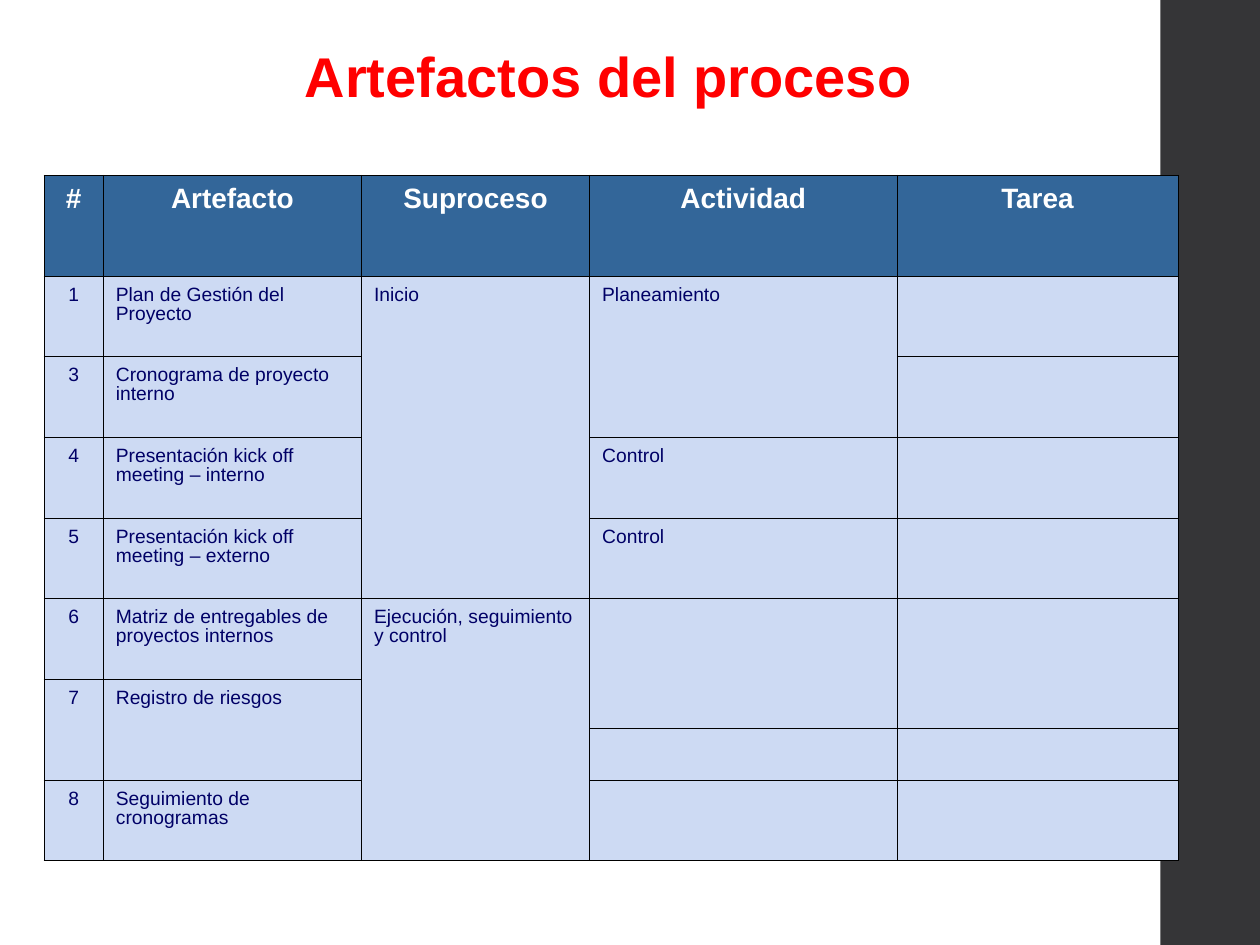
from dataclasses import dataclass

from lxml import etree
from pptx import Presentation
from pptx import util as u
from pptx.dml.color import RGBColor
from pptx.enum import shapes, text
from pptx.oxml.ns import qn


@dataclass(frozen=True)
class Theme:
    font: str = "Arial"
    title: str = "FF0000"
    sidebar: str = "353537"
    header_fill: str = "336699"
    header_text: str = "FFFFFF"
    body_fill: str = "CDDAF3"
    body_text: str = "000066"
    border: str = "000000"
    title_size: float = 32
    header_size: float = 16
    body_size: float = 11
    outer_line: float = 0.5
    inner_line: float = 0.23


class SlideBuilder:
    def __init__(self, slide, theme):
        self.slide = slide
        self.theme = theme

    def format_text(self, paragraph, size, color, bold):
        for run in paragraph.runs:
            run.font.name = self.theme.font
            run.font.size = u.Pt(size)
            run.font.bold = bold
            run.font.color.rgb = RGBColor.from_string(color)

    def bar(self, left, top, width, height):
        sidebar = self.slide.shapes.add_shape(
            shapes.MSO_SHAPE.RECTANGLE, *map(u.Inches, (left, top, width, height)))
        sidebar.shadow.inherit = False
        sidebar.fill.solid()
        sidebar.fill.fore_color.rgb = RGBColor.from_string(self.theme.sidebar)
        sidebar.line.fill.background()

    def title(self, wording, left, top, width, height):
        heading = self.slide.shapes.add_textbox(
            *map(u.Inches, (left, top, width, height))).text_frame
        heading.word_wrap = False
        heading.auto_size = text.MSO_AUTO_SIZE.SHAPE_TO_FIT_TEXT
        heading.text = wording
        self.format_text(heading.paragraphs[0], self.theme.title_size, self.theme.title, True)

    def cell_borders(self, cell, outer_sides):
        properties = cell._tc.get_or_add_tcPr()
        for index, side in enumerate("LRTB"):
            width = self.theme.outer_line if side in outer_sides else self.theme.inner_line
            line = etree.Element(qn(f"a:ln{side}"), w=str(u.Pt(width)))
            fill = etree.SubElement(line, qn("a:solidFill"))
            etree.SubElement(fill, qn("a:srgbClr"), val=self.theme.border)
            properties.insert(index, line)

    def cell(self, cell, wording, is_header, centred):
        theme = self.theme
        cell.fill.solid()
        cell.fill.fore_color.rgb = RGBColor.from_string(
            theme.header_fill if is_header else theme.body_fill)
        if not wording:
            return
        cell.margin_top = u.Inches(0.09 if is_header else 0.08)
        cell.text_frame.text = wording
        paragraph = cell.text_frame.paragraphs[0]
        paragraph.alignment = text.PP_ALIGN.CENTER if centred else text.PP_ALIGN.LEFT
        paragraph.line_spacing = 0.89
        paragraph.space_before = u.Pt(4 if is_header else 2.8)
        if is_header:
            self.format_text(paragraph, theme.header_size, theme.header_text, True)
        else:
            self.format_text(paragraph, theme.body_size, theme.body_text, False)

    def table(self, rows, merges, left, top, widths, heights):
        table = self.slide.shapes.add_table(
            len(heights), len(widths),
            *map(u.Inches, (left, top, sum(widths), sum(heights)))).table
        table.horz_banding = False
        for column, width in zip(table.columns, widths):
            column.width = u.Inches(width)
        for row, height in zip(table.rows, heights):
            row.height = u.Inches(height)

        for row, column, span in merges:
            table.cell(row, column).merge(table.cell(row + span - 1, column))

        for r, wordings in enumerate(rows):
            for c, wording in enumerate(wordings):
                cell = table.cell(r, c)
                self.cell(cell, wording, r == 0, r == 0 or c == 0)
                last_row = r + (cell.span_height if cell.is_merge_origin else 1)
                edges = {"L": c == 0, "R": c == len(widths) - 1,
                         "T": r == 0, "B": last_row == len(heights)}
                self.cell_borders(cell, [side for side, outer in edges.items() if outer])


ARTEFACTS = [
    ("#", "Artefacto", "Suproceso", "Actividad", "Tarea"),
    ("1", "Plan de Gestión del Proyecto", "Inicio", "Planeamiento", ""),
    ("3", "Cronograma de proyecto interno", "", "", ""),
    ("4", "Presentación kick off meeting – interno", "", "Control", ""),
    ("5", "Presentación kick off meeting – externo", "", "Control", ""),
    ("6", "Matriz de entregables de proyectos internos",
     "Ejecución, seguimiento y control", "", ""),
    ("7", "Registro de riesgos", "", "", ""),
    ("", "", "", "", ""),
    ("8", "Seguimiento de cronogramas", "", "", ""),
]
# First row, column, number of rows joined
MERGES = [(1, 2, 4), (1, 3, 2), (5, 2, 4), (5, 3, 2), (5, 4, 2), (6, 0, 2), (6, 1, 2)]


def main():
    deck = Presentation()
    deck.slide_width, deck.slide_height = u.Inches(10), u.Inches(7.5)
    builder = SlideBuilder(deck.slides.add_slide(deck.slide_layouts[6]), Theme())

    # Sidebar and title
    builder.bar(9.21, 0, 0.79, 7.5)
    builder.title("Artefactos del proceso", 2.32, 0.28, 5.05, 0.64)

    # Artefact table
    builder.table(ARTEFACTS, MERGES, 0.35, 1.39,
                  widths=[0.47, 2.05, 1.81, 2.44, 2.23],
                  heights=[0.8] + [0.64] * 5 + [0.39, 0.41, 0.64])

    deck.save("out.pptx")


if __name__ == "__main__":
    main()
